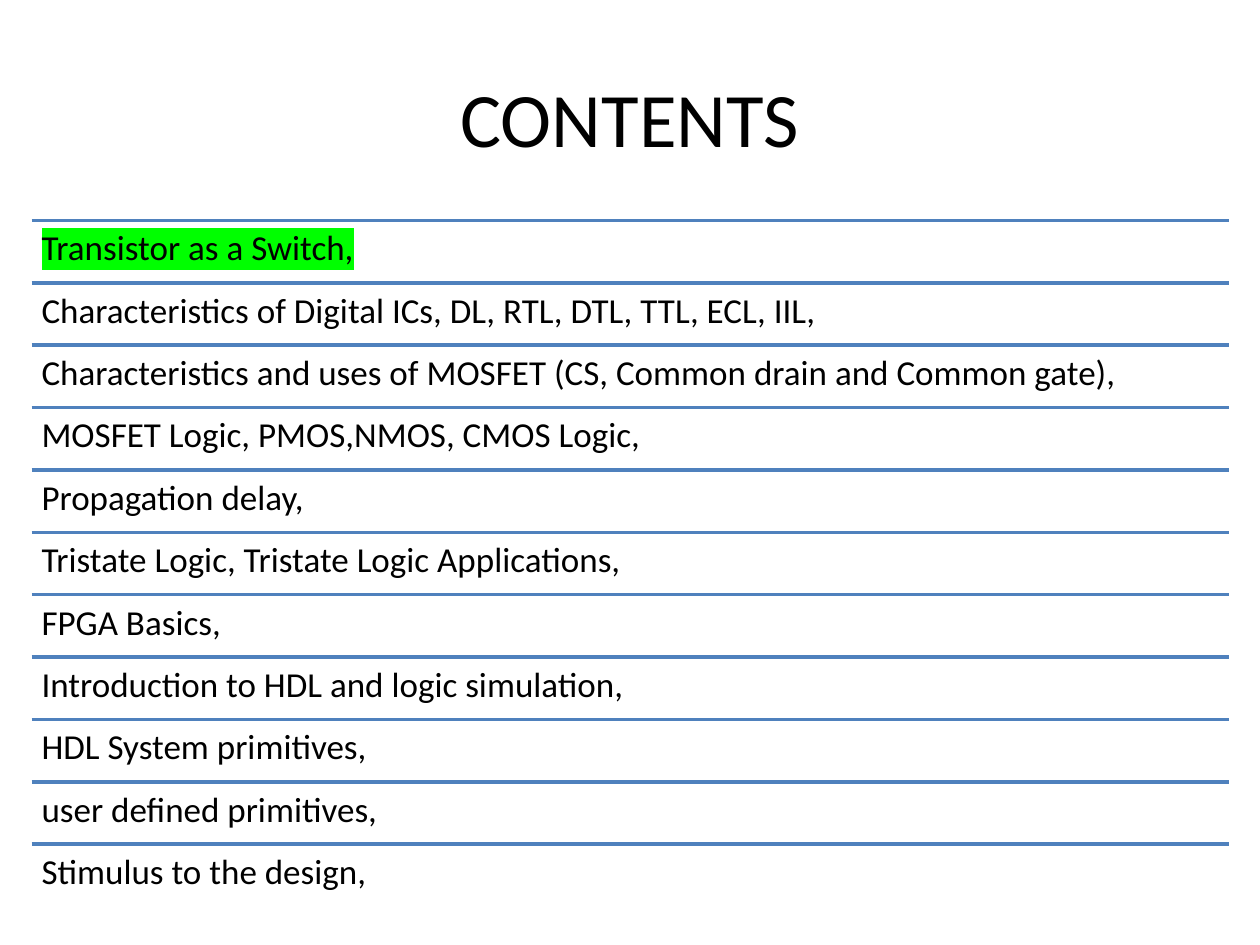
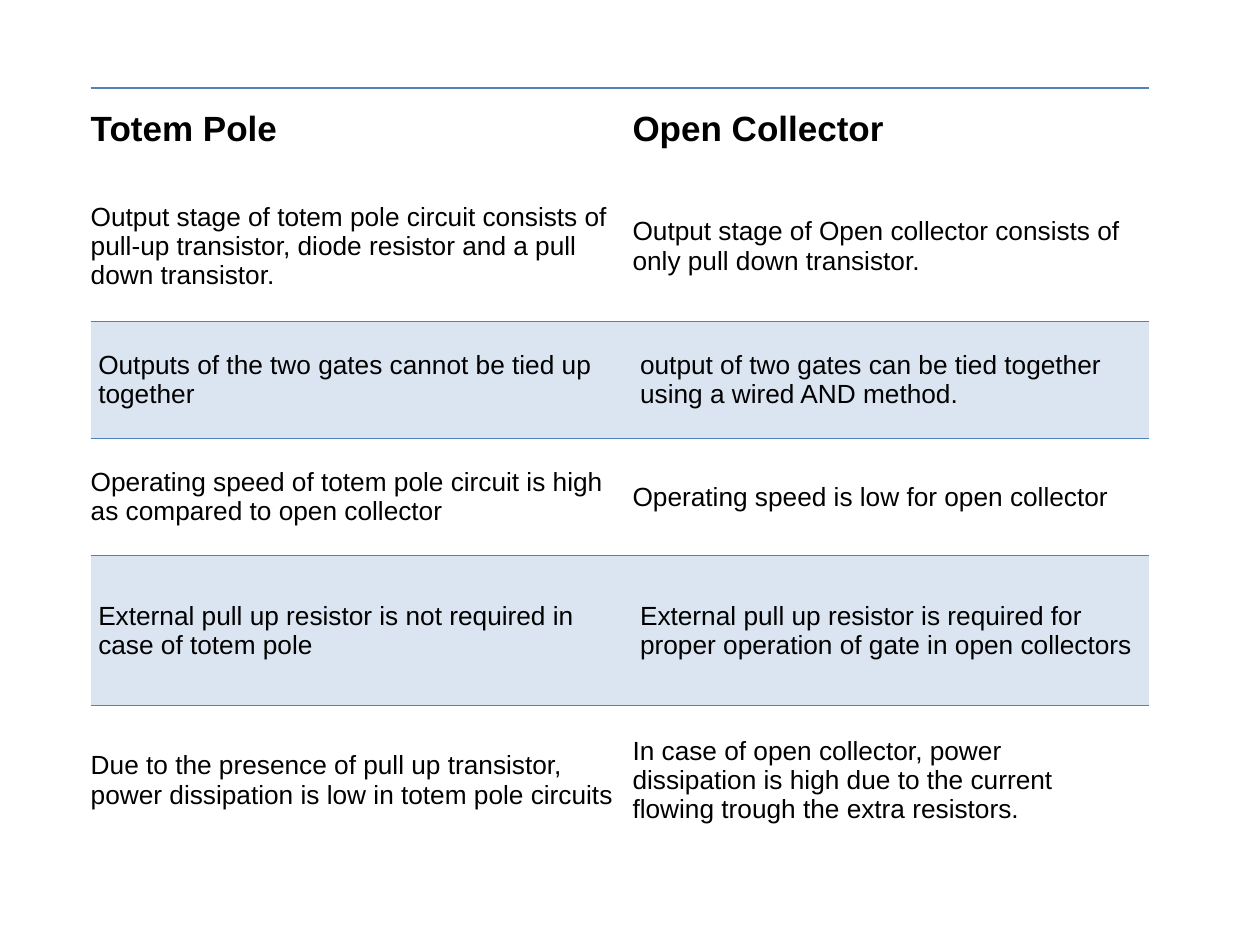
from lxml import etree
from pptx import Presentation
from pptx import util as u
from pptx.dml import color
from pptx.enum import shapes, text
from pptx.oxml import ns

COLORS = {"ink": "000000", "rule": "4F81BD", "band": "DAE5F1", "mark": "00FF00"}
NO_GRID = "{2D5ABB26-0587-4C30-8999-92F81FD0307C}"

TOPICS = [
    "Transistor as a Switch,",
    "Characteristics of Digital ICs, DL, RTL, DTL, TTL, ECL, IIL,",
    "Characteristics and uses of MOSFET (CS, Common drain and Common gate),",
    "MOSFET Logic, PMOS,NMOS, CMOS Logic,",
    "Propagation delay,",
    "Tristate Logic, Tristate Logic Applications,",
    "FPGA Basics,",
    "Introduction to HDL and logic simulation,",
    "HDL System primitives,",
    "user defined primitives,",
    "Stimulus to the design,",
]

COMPARISON = [
    ("Totem Pole", "Open Collector"),
    ("Output stage of totem pole circuit consists of pull-up transistor, "
     "diode resistor and a pull down transistor.",
     "Output stage of Open collector consists of only pull down transistor."),
    ("Outputs of the two gates cannot be tied up together",
     "output of two gates can be tied together using a wired AND method."),
    ("Operating speed of totem pole circuit is high as compared to open collector",
     "Operating speed is low for open collector"),
    ("External pull up resistor is not required in case of totem pole",
     "External pull up resistor is required for proper operation of gate in open collectors"),
    ("Due to the presence of pull up transistor, power dissipation is low in totem pole circuits",
     "In case of open collector, power dissipation is high due to the current "
     "flowing trough the extra resistors."),
]


def rgb(name):
    return color.RGBColor.from_string(COLORS[name])


def solid_fill(parent, name, tag="a:solidFill"):
    fill = etree.SubElement(parent, ns.qn(tag))
    etree.SubElement(fill, ns.qn("a:srgbClr"), val=COLORS[name])
    return fill


def write(tf, words, size=20, font="Calibri", bold=False, align=text.PP_ALIGN.LEFT,
          spacing=None, anchor=None, insets=None, highlight=None):
    tf.word_wrap = True
    if anchor is not None:
        tf.vertical_anchor = anchor
    if insets:
        tf.margin_left, tf.margin_top, tf.margin_right, tf.margin_bottom = map(u.Inches, insets)
    p = tf.paragraphs[0]
    p.alignment = align
    if spacing:
        p.line_spacing = spacing
    r = p.add_run()
    r.text = words
    r.font.size, r.font.bold, r.font.name = u.Pt(size), bold, font
    r.font.color.rgb = rgb("ink")
    if highlight:
        props = r._r.rPr
        mark = solid_fill(props, highlight, "a:highlight")
        props.find(ns.qn("a:solidFill")).addnext(mark)


class Deck:
    """Holds the presentation style and the slide being built."""

    def __init__(self):
        self.prs = Presentation()
        self.prs.slide_width, self.prs.slide_height = u.Inches(10), u.Inches(7.5)
        self.s = None

    def slide(self, layout):
        self.s = self.prs.slides.add_slide(self.prs.slide_layouts[layout])

    def title(self, words):
        sp = self.s.shapes.title
        sp.left, sp.top, sp.width, sp.height = map(u.Inches, (0.5, 0.3, 9, 1.25))
        write(sp.text_frame, words, size=44, align=text.PP_ALIGN.CENTER,
              anchor=text.MSO_ANCHOR.MIDDLE, insets=(0.1, 0.05, 0.1, 0.05))

    def rule(self, left, top, width):
        ln = self.s.shapes.add_connector(
            shapes.MSO_CONNECTOR.STRAIGHT, u.Inches(left), u.Inches(top),
            u.Inches(left + width), u.Inches(top))
        ln.line.color.rgb = rgb("rule")
        ln.line.width = u.Pt(2)
        etree.SubElement(ln._element.spPr, ns.qn("a:effectLst"))

    def box(self, left, top, width, height, words, **style):
        sp = self.s.shapes.add_textbox(*map(u.Inches, (left, top, width, height)))
        write(sp.text_frame, words, **style)

    def ruled_list(self, items, left, top, width, pitch):
        for i, item in enumerate(items):
            y = top + i * pitch
            self.rule(left, y, width)
            self.box(left, y, width, pitch, item, spacing=0.9, insets=(0.08,) * 4,
                     highlight="mark" if i == 0 else None)

    def top_border(self, cell, width):
        props = cell._tc.get_or_add_tcPr()
        ln = etree.Element(ns.qn("a:lnT"), w=str(u.Pt(width)))
        solid_fill(ln, "rule")
        props.insert(0, ln)

    def cell(self, cell, words, header, banded):
        if header:
            style = dict(size=20, bold=True, insets=(0, 0.13, 0.01, 0.13))
        else:
            style = dict(size=15, insets=(0.06 if banded else 0, 0.19, 0.13, 0.19))
        insets = style.pop("insets")
        cell.margin_left, cell.margin_top, cell.margin_right, cell.margin_bottom = map(
            u.Inches, insets)
        cell.vertical_anchor = text.MSO_ANCHOR.MIDDLE
        write(cell.text_frame, words, font="Arial", **style)
        if banded:
            cell.fill.solid()
            cell.fill.fore_color.rgb = rgb("band")
        else:
            cell.fill.background()
        if header or banded:
            self.top_border(cell, 1.5 if header else 0.75)

    def table(self, rows, left, top, widths, heights):
        frame = self.s.shapes.add_table(
            len(rows), len(widths), u.Inches(left), u.Inches(top),
            u.Inches(sum(widths)), u.Inches(sum(heights)))
        tbl = frame.table
        tbl.first_row = tbl.horz_banding = False
        tbl._tbl.tblPr.find(ns.qn("a:tableStyleId")).text = NO_GRID
        for col, width in zip(tbl.columns, widths):
            col.width = u.Inches(width)
        for i, (row, height) in enumerate(zip(tbl.rows, heights)):
            row.height = u.Inches(height)
            for cell, words in zip(row.cells, rows[i]):
                self.cell(cell, words, header=i == 0, banded=i > 0 and i % 2 == 0)


def main():
    deck = Deck()
    deck.slide(5)
    deck.title("CONTENTS")
    deck.ruled_list(TOPICS, left=0.25, top=1.75, width=9.5, pitch=0.495)
    deck.slide(6)
    deck.table(COMPARISON, left=0.72, top=0.7, widths=(4.3, 4.1),
               heights=(0.66, 1.19, 0.93, 0.93, 1.19, 1.19))
    deck.prs.save("out.pptx")


if __name__ == "__main__":
    main()
